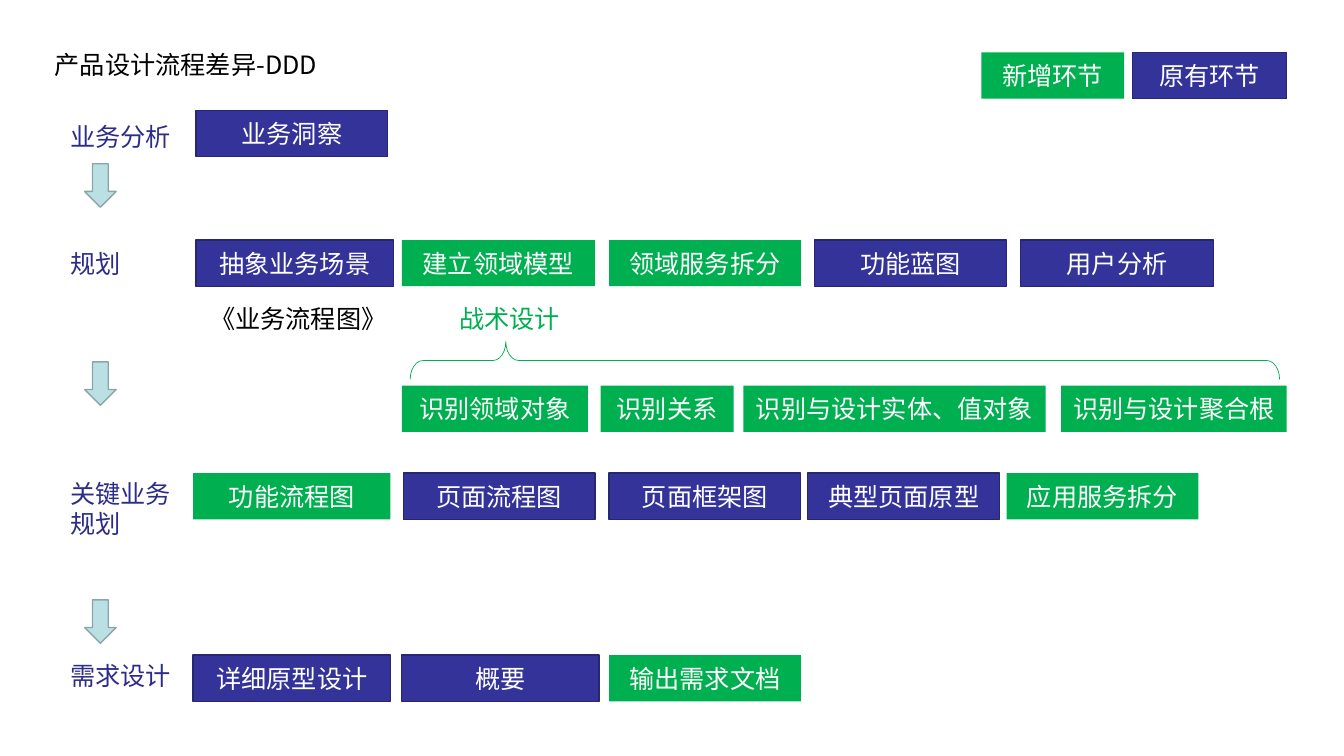
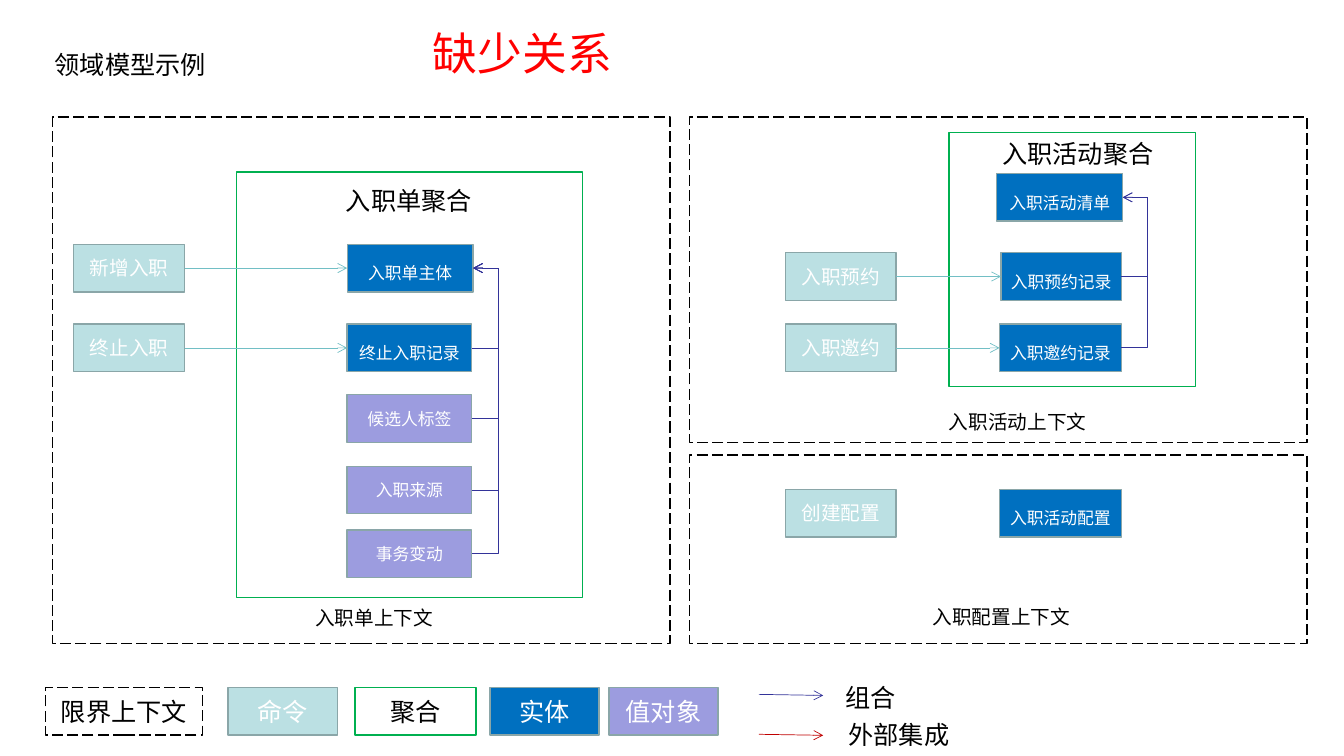
"""Build two slides: the DDD product design flow and a sample domain model."""
from lxml.etree import SubElement
from pptx import Presentation
from pptx.dml.color import RGBColor
from pptx.enum.dml import MSO_LINE
from pptx.enum.shapes import MSO_CONNECTOR as Link, MSO_SHAPE as Preset
from pptx.enum.text import MSO_ANCHOR, PP_ALIGN
from pptx.oxml.ns import qn
from pptx.util import Pt

FONT = "Noto Sans CJK SC"
COLORS = {
    "black": "000000", "white": "FFFFFF", "stage": "2D2D89", "indigo": "333399",
    "indigo_edge": "262671", "green": "00B050", "pale": "BBE0E3", "edge": "8AA6A8",
    "blue": "0070C0", "violet": "9C9CDF", "teal": "72BFC5", "crimson": "C00000",
    "red": "FF0000",
}
STYLES = {
    "new": ("green", None, "white"),
    "existing": ("indigo", "indigo_edge", "white"),
    "command": ("pale", "edge", "white"),
    "entity": ("blue", "edge", "white"),
    "value": ("violet", "edge", "white"),
    "aggregate": ("white", "green", "black"),
    "context": ("white", "black", "black"),
}
LEFT, CENTER = PP_ALIGN.LEFT, PP_ALIGN.CENTER
RIGHT_SIDE, LEFT_SIDE = 3, 1

STEP_HEIGHT = 33
STEP_ROWS = [
    (37.5, [(701, 102, "新增环节", "new"), (809, 110, "原有环节", "existing")]),
    (79, [(140, 137, "业务洞察", "existing")]),
    (171.5, [(140, 141, "抽象业务场景", "existing"), (287, 138, "建立领域模型", "new"),
             (435, 137, "领域服务拆分", "new"), (582, 137, "功能蓝图", "existing"),
             (729, 138, "用户分析", "existing")]),
    (275.5, [(287, 133, "识别领域对象", "new"), (429, 95, "识别关系", "new"),
             (531, 216, "识别与设计实体、值对象", "new"), (758, 161, "识别与设计聚合根", "new")]),
    (338, [(138, 141, "功能流程图", "new"), (288, 137, "页面流程图", "existing"),
           (435, 137, "页面框架图", "existing"), (577, 137, "典型页面原型", "existing"),
           (719, 137, "应用服务拆分", "new")]),
    (468, [(138, 141, "详细原型设计", "existing"), (287, 141, "概要", "existing"),
           (435, 137, "输出需求文档", "new")]),
]
STAGES = [(83, "业务分析"), (174, "规划"), (338, "关键业务规划"), (468, "需求设计")]
STAGE_ARROWS = [117, 258.5, 428.5]
FLOW_NOTES = [(143, 213, 150, "《业务流程图》", "black"), (321, 213, 100, "战术设计", "green")]

NODE_HEIGHT = 34
FRAMES = [
    (37.5, 83.5, 441, 376, "context"), (492.5, 83.5, 441, 232.5, "context"),
    (492.5, 325, 441, 134.5, "context"), (169, 123, 247, 304, "aggregate"),
    (678, 94.5, 176, 181.5, "aggregate"),
]
MODEL_LABELS = [
    (302, 15, 249, "缺少关系", 32, "red", LEFT),
    (236, 129, 112, "入职单聚合", 18, "black", CENTER),
    (708, 95, 124, "入职活动聚合", 18, "black", CENTER),
    (218, 429, 112, "入职单上下文", 14, "black", LEFT),
    (662, 289.5, 130, "入职活动上下文", 14, "black", CENTER),
    (659, 428.5, 130, "入职配置上下文", 14, "black", LEFT),
]
NODES = [
    (52.5, 174.5, 79.5, "新增入职", "command"), (52.5, 231.5, 79.5, "终止入职", "command"),
    (561, 180.5, 79, "入职预约", "command"), (561, 231.5, 79, "入职邀约", "command"),
    (561, 349.5, 79, "创建配置", "command"),
    (248, 174.5, 90, "入职单主体", "entity"), (248, 231.5, 89, "终止入职记录", "entity"),
    (248, 282, 89, "候选人标签", "value"), (248, 333, 89, "入职来源", "value"),
    (248, 378.5, 89, "事务变动", "value"),
    (712, 124, 90, "入职活动清单", "entity"), (715, 180.5, 86, "入职预约记录", "entity"),
    (714, 231.5, 87, "入职邀约记录", "entity"), (714, 349.5, 87, "入职活动配置", "entity"),
]
COMMAND_TARGETS = {"新增入职": "入职单主体", "终止入职": "终止入职记录",
                   "入职预约": "入职预约记录", "入职邀约": "入职邀约记录"}
COMPOSITIONS = {"入职单主体": ["终止入职记录", "候选人标签", "入职来源", "事务变动"],
                "入职活动清单": ["入职预约记录", "入职邀约记录"]}
RAIL_GAP = 19
LEGEND_TOP = 491
LEGEND_BOXES = [(32.5, 112, "限界上下文", "context"), (163, 78, "命令", "command"),
                (253.5, 86.5, "聚合", "aggregate"), (350, 78, "实体", "entity"),
                (435, 78, "值对象", "value")]
LEGEND_LINES = [(496, 597, 484, "组合", "indigo"), (524.5, 599, 510.5, "外部集成", "crimson")]


def rgb(name):
    return RGBColor.from_string(COLORS[name])


def write(shape, text, size, color, align=LEFT, spacing=None):
    shape.text_frame.word_wrap = True
    paragraph = shape.text_frame.paragraphs[0]
    paragraph.text = text
    paragraph.alignment = align
    if spacing:
        paragraph.line_spacing = spacing
    font = paragraph.font
    font.size, font.name = Pt(size), FONT
    font.color.rgb = rgb(color)
    defaults = paragraph._p.pPr.find(qn("a:defRPr"))
    SubElement(defaults, qn("a:ea")).set("typeface", FONT)


def add_label(slide, left, top, width, text, size=18, color="black", align=LEFT):
    label = slide.shapes.add_textbox(Pt(left), Pt(top), Pt(width), Pt(size * 1.6))
    write(label, text, size, color, align)


def add_preset(slide, preset, left, top, width, height, fill=None, edge=None, weight=1):
    shape = slide.shapes.add_shape(preset, Pt(left), Pt(top), Pt(width), Pt(height))
    shape.shadow.inherit = False
    for part, color in ((shape.fill, fill), (shape.line.fill, edge)):
        if color:
            part.solid()
            part.fore_color.rgb = rgb(color)
        else:
            part.background()
    if edge:
        shape.line.width = Pt(weight)
    return shape


def add_box(slide, left, top, width, height, style, text=None, size=18, spacing=None):
    fill, edge, ink = STYLES[style]
    box = add_preset(slide, Preset.RECTANGLE, left, top, width, height, fill, edge)
    if style == "context":
        box.line.dash_style = MSO_LINE.LONG_DASH
    if text:
        frame = box.text_frame
        frame.margin_left = frame.margin_right = 0
        frame.vertical_anchor = MSO_ANCHOR.MIDDLE
        write(box, text, size, ink, CENTER, spacing)
    return box


def add_arrow(slide, kind, color, ends=(0, 0, 0, 0)):
    arrow = slide.shapes.add_connector(kind, *[Pt(value) for value in ends])
    arrow.line.color.rgb = rgb(color)
    arrow.line.width = Pt(0.5)
    SubElement(arrow.line._get_or_add_ln(), qn("a:tailEnd")).set("type", "arrow")
    SubElement(arrow._element.spPr, qn("a:effectLst"))
    return arrow


def join(arrow, source, source_side, target, target_side):
    arrow.begin_connect(source, source_side)
    arrow.end_connect(target, target_side)


def add_composition(slide, part, whole):
    arrow = add_arrow(slide, Link.ELBOW, "indigo")
    join(arrow, part, RIGHT_SIDE, whole, RIGHT_SIDE)
    bend = round(Pt(RAIL_GAP) / arrow.width * 100000)
    geometry = arrow._element.spPr.find(qn("a:prstGeom"))
    values = geometry.find(qn("a:avLst"))
    if values is None:
        values = SubElement(geometry, qn("a:avLst"))
    guide = SubElement(values, qn("a:gd"))
    guide.set("name", "adj1")
    guide.set("fmla", f"val {bend}")


def new_slide(deck, title):
    slide = deck.slides.add_slide(deck.slide_layouts[6])
    add_label(slide, 32, 32, 242, title)
    return slide


def build_flow(deck):
    slide = new_slide(deck, "产品设计流程差异-DDD")
    for top, steps in STEP_ROWS:
        for left, width, text, style in steps:
            add_box(slide, left, top, width, STEP_HEIGHT, style, text)
    for top, text in STAGES:
        add_label(slide, 43, top, 89, text, color="stage")
    for top in STAGE_ARROWS:
        add_preset(slide, Preset.DOWN_ARROW, 60.5, top, 22.5, 31, "pale", "edge")
    for left, top, width, text, color in FLOW_NOTES:
        add_label(slide, left, top, width, text, color=color)
    brace = add_preset(slide, Preset.LEFT_BRACE, 590, -53, 27, 621, edge="green", weight=0.5)
    brace.rotation = 90
    brace.adjustments[0], brace.adjustments[1] = 0.34, 0.89


def build_model(deck):
    slide = new_slide(deck, "领域模型示例")
    for left, top, width, height, style in FRAMES:
        add_box(slide, left, top, width, height, style)
    for label in MODEL_LABELS:
        add_label(slide, *label)
    nodes = {}
    for left, top, width, text, style in NODES:
        size = 14 if style == "command" else 12
        spacing = 1.5 if style == "entity" else None
        nodes[text] = add_box(slide, left, top, width, NODE_HEIGHT, style, text, size, spacing)
    for command, target in COMMAND_TARGETS.items():
        arrow = add_arrow(slide, Link.STRAIGHT, "teal")
        join(arrow, nodes[command], RIGHT_SIDE, nodes[target], LEFT_SIDE)
    for whole, parts in COMPOSITIONS.items():
        for part in parts:
            add_composition(slide, nodes[part], nodes[whole])
    for left, width, text, style in LEGEND_BOXES:
        add_box(slide, left, LEGEND_TOP, width, NODE_HEIGHT, style, text)
    for line_top, label_left, label_top, text, color in LEGEND_LINES:
        add_arrow(slide, Link.STRAIGHT, color, (542, line_top, 588, line_top + 0.75))
        add_label(slide, label_left, label_top, 120, text)


def main():
    deck = Presentation()
    deck.slide_width, deck.slide_height = Pt(960), Pt(540)
    build_flow(deck)
    build_model(deck)
    deck.save("out.pptx")


if __name__ == "__main__":
    main()
